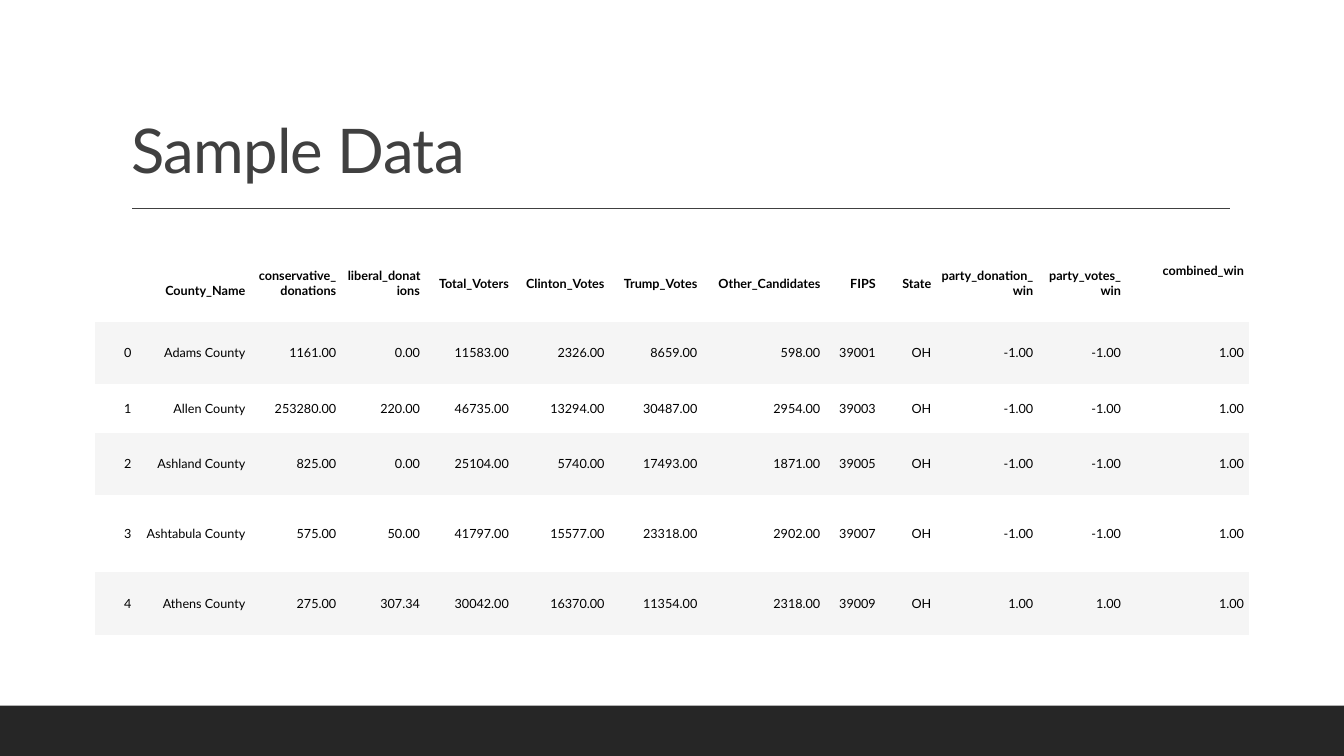
"""Builds the Sample Data slide with its county election table."""
from dataclasses import dataclass

from lxml.etree import SubElement
from pptx import Presentation
from pptx.dml.color import RGBColor as Rgb
from pptx.enum.shapes import MSO_CONNECTOR as Connector, MSO_SHAPE as Preset
from pptx.enum.text import MSO_ANCHOR as Anchor, MSO_AUTO_SIZE as AutoSize, PP_ALIGN as Align
from pptx.oxml.ns import qn
from pptx.util import Cm, Pt

HEADINGS = ["", "County_Name", "conservative_donations", "liberal_donations",
            "Total_Voters", "Clinton_Votes", "Trump_Votes", "Other_Candidates",
            "FIPS", "State", "party_donation_win", "party_votes_win", "combined_win"]
COUNTIES = [
    ["0", "Adams County", "1161.00", "0.00", "11583.00", "2326.00", "8659.00",
     "598.00", "39001", "OH", "-1.00", "-1.00", "1.00"],
    ["1", "Allen County", "253280.00", "220.00", "46735.00", "13294.00", "30487.00",
     "2954.00", "39003", "OH", "-1.00", "-1.00", "1.00"],
    ["2", "Ashland County", "825.00", "0.00", "25104.00", "5740.00", "17493.00",
     "1871.00", "39005", "OH", "-1.00", "-1.00", "1.00"],
    ["3", "Ashtabula County", "575.00", "50.00", "41797.00", "15577.00", "23318.00",
     "2902.00", "39007", "OH", "-1.00", "-1.00", "1.00"],
    ["4", "Athens County", "275.00", "307.34", "30042.00", "16370.00", "11354.00",
     "2318.00", "39009", "OH", "1.00", "1.00", "1.00"],
]
COLUMN_WIDTHS = [1.04, 2.87, 2.29, 2.11, 2.24, 2.41, 2.34, 3.1, 1.4, 1.4, 2.57, 2.21, 3.1]
ROW_HEIGHTS = [1.94, 1.57, 1.23, 1.57, 1.94, 1.57]
LOWERED_HEADINGS = {"County_Name": Anchor.MIDDLE, "combined_win": Anchor.TOP}
PLAIN_TABLE_STYLE = "{2D5ABB26-0587-4C30-8999-92F81FD0307C}"


@dataclass(frozen=True)
class Theme:
    font: str = "Lato"
    title_size: int = 44
    table_size: int = 9
    paper: Rgb = Rgb(0xFF, 0xFF, 0xFF)
    title: Rgb = Rgb(0x40, 0x40, 0x40)
    table_text: Rgb = Rgb(0, 0, 0)
    band: Rgb = Rgb(0xF5, 0xF5, 0xF5)
    footer: Rgb = Rgb(0x26, 0x26, 0x26)


def write_text(frame, text, *, font, size, color, bold=False, align=Align.LEFT,
               line_spacing=None, tracking=None):
    paragraph = frame.paragraphs[0]
    paragraph.alignment = align
    paragraph.line_spacing = line_spacing
    run = paragraph.add_run()
    run.text = text
    run.font.name = font
    run.font.size = Pt(size)
    run.font.bold = bold
    run.font.color.rgb = color
    if tracking is not None:
        run.font._element.set("spc", str(int(tracking * 100)))


class SlideBuilder:
    def __init__(self, slide, theme):
        self.slide = slide
        self.theme = theme
        slide.background.fill.solid()
        slide.background.fill.fore_color.rgb = theme.paper

    def title(self, text, left, top, width, height):
        heading = self.slide.shapes.title
        heading.left, heading.top = Cm(left), Cm(top)
        heading.width, heading.height = Cm(width), Cm(height)
        frame = heading.text_frame
        frame.auto_size = AutoSize.NONE
        frame.vertical_anchor = Anchor.BOTTOM
        write_text(frame, text, font=self.theme.font, size=self.theme.title_size,
                   color=self.theme.title, line_spacing=0.9, tracking=-0.5)

    def rule(self, left, right, y):
        underline = self.slide.shapes.add_connector(
            Connector.STRAIGHT, Cm(left), Cm(y), Cm(right), Cm(y))
        underline.line.color.rgb = self.theme.title
        underline.line.width = Pt(1)
        SubElement(underline._element.spPr, qn("a:effectLst"))

    def bar(self, left, top, width, height):
        footer = self.slide.shapes.add_shape(
            Preset.RECTANGLE, Cm(left), Cm(top), Cm(width), Cm(height))
        footer.shadow.inherit = False
        footer.fill.solid()
        footer.fill.fore_color.rgb = self.theme.footer
        footer.line.fill.background()

    def table(self, rows, left, top, widths, heights):
        holder = self.slide.shapes.add_table(
            len(rows), len(widths), Cm(left), Cm(top), Cm(sum(widths)), Cm(sum(heights)))
        grid = holder.table
        grid.horz_banding = False
        grid._tbl.tblPr.find(qn("a:tableStyleId")).text = PLAIN_TABLE_STYLE
        for column, width in zip(grid.columns, widths):
            column.width = Cm(width)
        for row, height in zip(grid.rows, heights):
            row.height = Cm(height)
        for row_index, values in enumerate(rows):
            for column_index, value in enumerate(values):
                self.cell(grid.cell(row_index, column_index), value,
                          header=row_index == 0, banded=row_index % 2 == 1)

    def cell(self, cell, value, header, banded):
        cell.margin_left = cell.margin_right = Cm(0.13)
        cell.margin_bottom = Cm(0.07)
        cell.margin_top = Cm(0.45 if value in LOWERED_HEADINGS else 0.07)
        cell.vertical_anchor = LOWERED_HEADINGS.get(value, Anchor.MIDDLE)
        if banded:
            cell.fill.solid()
            cell.fill.fore_color.rgb = self.theme.band
        else:
            cell.fill.background()
        if value:
            write_text(cell.text_frame, value, font=self.theme.font,
                       size=self.theme.table_size, color=self.theme.table_text,
                       bold=header, align=Align.RIGHT)


def main():
    deck = Presentation()
    deck.slide_width, deck.slide_height = Cm(33.87), Cm(19.05)
    title_only = deck.slide_layouts[5]
    builder = SlideBuilder(deck.slides.add_slide(title_only), Theme())
    builder.title("Sample Data", 3.05, 0.79, 27.94, 4.04)
    builder.rule(3.33, 31, 5.26)
    builder.bar(0, 17.78, 33.87, 1.27)
    builder.table([HEADINGS, *COUNTIES], 2.4, 6.17, COLUMN_WIDTHS, ROW_HEIGHTS)
    deck.save("out.pptx")


if __name__ == "__main__":
    main()
